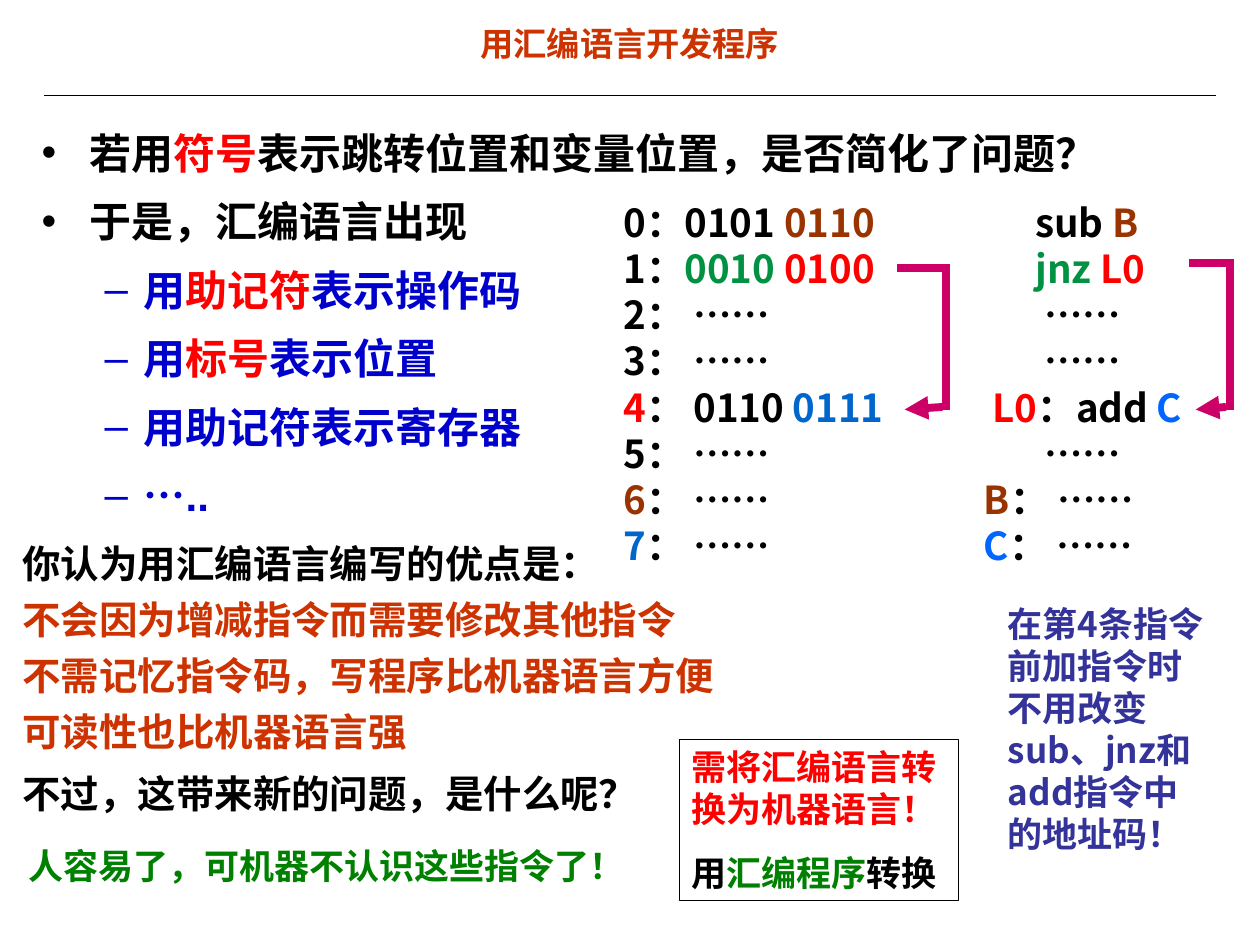
from lxml import etree
from pptx import Presentation
from pptx.dml.color import RGBColor
from pptx.enum import shapes, text
from pptx.oxml.ns import qn
from pptx.util import Inches, Pt

BLACK = RGBColor(0x00, 0x00, 0x00)
RED = RGBColor(0xFF, 0x00, 0x00)
BLUE = RGBColor(0x00, 0x00, 0xCC)
RUST = RGBColor(0xCC, 0x33, 0x00)
BROWN = RGBColor(0x99, 0x33, 0x00)
JADE = RGBColor(0x00, 0x92, 0x42)
GREEN = RGBColor(0x00, 0x80, 0x00)
INDIGO = RGBColor(0x33, 0x33, 0x99)
SKY = RGBColor(0x00, 0x66, 0xCC)
AZURE = RGBColor(0x00, 0x66, 0xFF)
MAGENTA = RGBColor(0xCC, 0x00, 0x66)
ARIAL, NOTO = "Arial", "Noto Sans CJK SC"
DOTS = "……"

# A paragraph is a list of (text, colour) or (text, colour, font) runs.
TITLE = [("用汇编语言开发程序", RUST)]
POINTS = [  # (level, runs)
    (0, [("若用", BLACK), ("符号", RED), ("表示跳转位置和变量位置，是否简化了问题？", BLACK)]),
    (0, [("于是，汇编语言出现", BLACK)]),
    (1, [("用", BLUE), ("助记符", RED), ("表示操作码", BLUE)]),
    (1, [("用", BLUE), ("标号", RED), ("表示位置", BLUE)]),
    (1, [("用助记符表示寄存器", BLUE)]),
    (1, [("…", BLUE, NOTO), ("..", BLUE)]),
]
LEVEL_INDENTS = [(0.38, -0.38), (0.81, -0.31)]  # left margin, first line

MACHINE_CODE = [
    [("0：0101 ", BLACK), ("0110", BROWN)],
    [("1：", BLACK), ("0010 ", JADE), ("0100", RED)],
    [("2： " + DOTS, BLACK)],
    [("3： " + DOTS, BLACK)],
    [("4", RED), ("： 0110 ", BLACK), ("0111", SKY)],
    [("5： " + DOTS, BLACK)],
    [("6", BROWN), ("： " + DOTS, BLACK)],
    [("7", SKY), ("： " + DOTS, BLACK)],
]
ASSEMBLY = [  # (left margin, runs)
    (0.41, [("sub ", BLACK), ("B", BROWN)]),
    (0.41, [("jnz ", JADE), ("L0", RED)]),
    (0.48, [(DOTS, BLACK)]),
    (0.48, [(DOTS, BLACK)]),
    (0.07, [("L0", RED), ("：add ", BLACK), ("C", AZURE)]),
    (0.48, [(DOTS, BLACK)]),
    (0, [("B", BROWN), ("： " + DOTS, BLACK)]),
    (0, [("C", AZURE), ("： " + DOTS, BLACK)]),
]
ADDRESS_NOTE = [[("在第4条指令前加指令时不用改变sub、jnz和add指令中的地址码！", INDIGO)]]
ADVANTAGES = [
    [("你认为用汇编语言编写的优点是：", BLACK)],
    [("不会因为增减指令而需要修改其他指令", RUST)],
    [("不需记忆指令码，写程序比机器语言方便", RUST)],
    [("可读性也比机器语言强", RUST)],
]
QUESTION = [[("不过，这带来新的问题，是什么呢？", BLACK)]]
ANSWER = [[("人容易了，可机器不认识这些指令了！", GREEN)]]
CONVERSION = [
    [("需将汇编语言转换为机器语言！", RED)],
    [("用", BLACK), ("汇编程序", GREEN), ("转换", BLACK)],
]
# box (left, top, width, height), paragraphs, size, font, space between paragraphs
TEXTS = [
    ((4.85, 1.53, 2.65, 3.04), MACHINE_CODE, 22, NOTO, 0),
    ((7.71, 1.53, 2.05, 3.04), [runs for _, runs in ASSEMBLY], 22, NOTO, 0),
    ((7.9, 4.73, 1.82, 2.1), ADDRESS_NOTE, 20, NOTO, 0),
    ((0.08, 4.24, 5.71, 1.8), ADVANTAGES, 22, ARIAL, 5.5),
    ((0.08, 6.06, 5.36, 0.47), QUESTION, 22, ARIAL, 0),
    ((0.13, 6.65, 5.02, 0.44), ANSWER, 20, ARIAL, 0),
]
CONVERSION_BOX = (5.39, 5.87, 2.22, 1.28)
# Jump from one instruction to another: start x, right edge, tip x, start y, end y
JUMPS = [(7.12, 7.51, 7.18, 2.13, 3.25), (9.44, 9.76, 9.49, 2.09, 3.25)]


def inches(values):
    return [Inches(value) for value in values]


def indent(paragraph, margin, first_line=0):
    properties = paragraph._p.get_or_add_pPr()
    properties.set("marL", str(Inches(margin)))
    properties.set("indent", str(Inches(first_line)))


def write_runs(paragraph, runs, size, font_name):
    for content, colour, *special_font in runs:
        run = paragraph.add_run()
        run.text = content
        run.font.size = Pt(size)
        run.font.bold = True
        run.font.color.rgb = colour
        run.font.name = special_font[0] if special_font else font_name
        east_asian = etree.Element(qn("a:ea"), typeface=NOTO)
        run.font._element.find(qn("a:latin")).addnext(east_asian)


def write_paragraphs(frame, paragraphs, size, font_name, gap):
    frame.word_wrap = True
    frame.auto_size = text.MSO_AUTO_SIZE.NONE
    for number, runs in enumerate(paragraphs):
        paragraph = frame.add_paragraph() if number else frame.paragraphs[0]
        if number and gap:
            paragraph.space_before = Pt(gap)
        write_runs(paragraph, runs, size, font_name)


def place(placeholder, box):
    placeholder.left, placeholder.top, placeholder.width, placeholder.height = inches(box)


def add_line(slide, start, end, colour, width, arrow=False):
    line = slide.shapes.add_connector(
        shapes.MSO_CONNECTOR.STRAIGHT, *inches(start + end))
    line.line.color.rgb = colour
    line.line.width = Pt(width)
    if arrow:
        etree.SubElement(line.line._get_or_add_ln(), qn("a:tailEnd"), type="triangle")
    etree.SubElement(line._element.spPr, qn("a:effectLst"))


def add_jump(slide, start_x, edge, tip_x, start_y, end_y):
    half = 0.03
    add_line(slide, (start_x, start_y), (edge + half, start_y), MAGENTA, 4.5)
    add_line(slide, (edge, start_y), (edge, end_y), MAGENTA, 4.5)
    add_line(slide, (edge - half, end_y - 0.02), (tip_x, end_y), MAGENTA, 4.5, arrow=True)


def main():
    deck = Presentation()
    deck.slide_width, deck.slide_height = inches((10, 7.5))
    slide = deck.slides.add_slide(deck.slide_layouts[1])
    title, body = slide.placeholders

    place(title, (0.5, 0.14, 9, 0.46))
    write_paragraphs(title.text_frame, [TITLE], 19, ARIAL, 0)
    title.text_frame.vertical_anchor = text.MSO_ANCHOR.MIDDLE
    heading = title.text_frame.paragraphs[0]
    heading.alignment = text.PP_ALIGN.CENTER
    heading.line_spacing = 0.8
    indent(heading, 0.13, -0.13)
    add_line(slide, (0.35, 0.76), (9.65, 0.76), BLACK, 0.75)

    place(body, (0.23, 0.9, 8.91, 5.43))
    write_paragraphs(body.text_frame, [runs for _, runs in POINTS], 24, ARIAL, 6)
    for paragraph, (level, _) in zip(body.text_frame.paragraphs, POINTS):
        paragraph.level = level
        paragraph.line_spacing = 1.15
        indent(paragraph, *LEVEL_INDENTS[level])
    body.text_frame.paragraphs[0].space_before = Pt(0)

    for box, paragraphs, size, font_name, gap in TEXTS:
        frame = slide.shapes.add_textbox(*inches(box)).text_frame
        write_paragraphs(frame, paragraphs, size, font_name, gap)
        if box[0] == 7.71:
            for paragraph, (margin, _) in zip(frame.paragraphs, ASSEMBLY):
                indent(paragraph, margin)

    for jump in JUMPS:
        add_jump(slide, *jump)

    conversion = slide.shapes.add_shape(
        shapes.MSO_SHAPE.RECTANGLE, *inches(CONVERSION_BOX))
    conversion.shadow.inherit = False
    conversion.fill.background()
    conversion.line.color.rgb = BLACK
    conversion.line.width = Pt(0.75)
    frame = conversion.text_frame
    frame.margin_right = 0
    frame.vertical_anchor = text.MSO_ANCHOR.TOP
    write_paragraphs(frame, CONVERSION, 20, ARIAL, 12.5)
    for paragraph in frame.paragraphs:
        paragraph.alignment = text.PP_ALIGN.LEFT

    deck.save("out.pptx")


if __name__ == "__main__":
    main()
